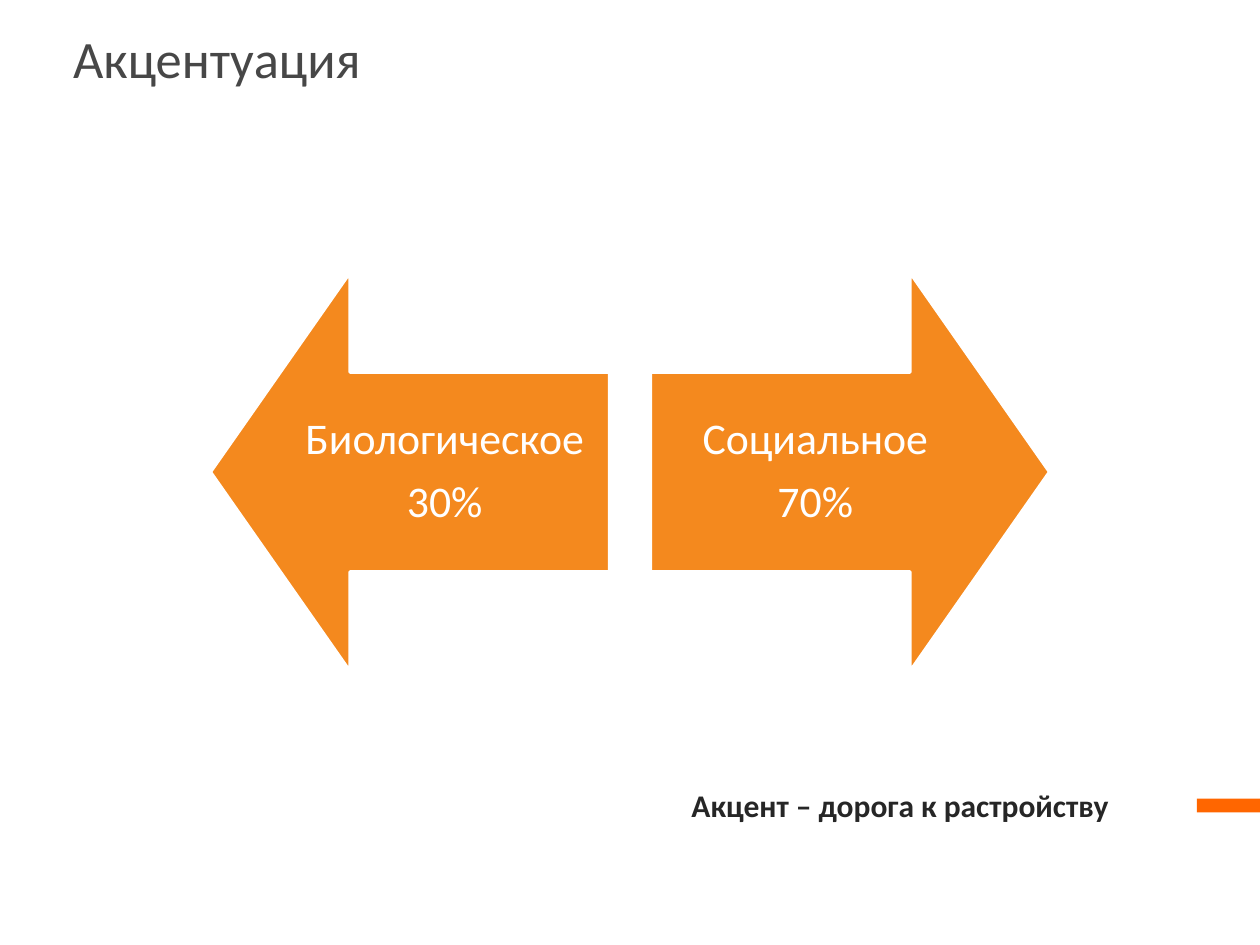
from pptx import Presentation
from pptx.dml.color import RGBColor
from pptx.enum.shapes import MSO_SHAPE
from pptx.enum.text import MSO_ANCHOR, PP_ALIGN
from pptx.util import Cm, Pt

RECT, UP_ARROW = MSO_SHAPE.RECTANGLE, MSO_SHAPE.UP_ARROW
MIDDLE = MSO_ANCHOR.MIDDLE
LEFT, CENTER = PP_ALIGN.LEFT, PP_ALIGN.CENTER
TITLE_ONLY = 5

FONT = "Calibri"
COLORS = {
    "title": "474747",
    "arrow": "F4891E",
    "white": "FFFFFF",
    "bar": "FF6600",
    "note": "262626",
}
SLIDE_W, SLIDE_H = 25.4, 19.05
ARROW_SIZE, ARROW_TOP, ARROW_GAP = 8.05, 5.49, 0.82
LABEL_W, LABEL_H = 6.65, 4.04


def rgb(name):
    return RGBColor.from_string(COLORS[name])


def write(tf, text, size, color, align=LEFT, bold=False):
    tf.text = text
    tf.word_wrap = True
    for p in tf.paragraphs:
        p.alignment = align
        for r in p.runs:
            r.font.name = FONT
            r.font.size = Pt(size)
            r.font.bold = bold
            r.font.color.rgb = rgb(color)


def add_title(s, text):
    sp = s.shapes.title
    sp.left, sp.top, sp.width, sp.height = Cm(1.22), Cm(0.2), Cm(23.34), Cm(1.9)
    write(sp.text_frame, text, 30, "title")
    sp.text_frame.vertical_anchor = MIDDLE


def add_filled(s, kind, left, top, width, height, color):
    sp = s.shapes.add_shape(kind, Cm(left), Cm(top), Cm(width), Cm(height))
    sp.shadow.inherit = False
    sp.fill.solid()
    sp.fill.fore_color.rgb = rgb(color)
    sp.line.fill.background()
    return sp


def add_text(s, left, top, width, height, *args, **kwargs):
    tf = s.shapes.add_textbox(Cm(left), Cm(top), Cm(width), Cm(height)).text_frame
    write(tf, *args, **kwargs)
    return tf


def add_arrow(s, left, rotation):
    sp = add_filled(s, UP_ARROW, left, ARROW_TOP, ARROW_SIZE, ARROW_SIZE, "arrow")
    sp.rotation = rotation
    sp.adjustments[0], sp.adjustments[1] = 0.5, 0.35
    sp.line.color.rgb = rgb("white")
    sp.line.width = Pt(2)


def add_arrow_label(s, left, text):
    top = ARROW_TOP + (ARROW_SIZE - LABEL_H) / 2
    tf = add_text(s, left, top, LABEL_W, LABEL_H, text, 25, "white", CENTER)
    tf.vertical_anchor = MIDDLE
    tf.margin_left = tf.margin_right = tf.margin_top = tf.margin_bottom = Cm(0.48)
    for p in tf.paragraphs:
        p.line_spacing = 0.9
        p.space_after = Pt(8.75)


def main():
    prs = Presentation()
    prs.slide_width, prs.slide_height = Cm(SLIDE_W), Cm(SLIDE_H)
    s = prs.slides.add_slide(prs.slide_layouts[TITLE_ONLY])
    add_title(s, "Акцентуация")

    inner_left = (SLIDE_W - ARROW_GAP) / 2
    inner_right = (SLIDE_W + ARROW_GAP) / 2
    add_arrow(s, inner_left - ARROW_SIZE, 270)
    add_arrow_label(s, inner_left - LABEL_W, "Биологическое\n30%")
    add_arrow(s, inner_right, 90)
    add_arrow_label(s, inner_right, "Социальное\n70%")

    add_filled(s, RECT, 24.13, 16.1, 1.27, 0.28, "bar")
    add_text(s, 13.69, 15.72, 9.3, 1.02, "Акцент – дорога к растройству",
             18, "note", bold=True)
    prs.save("out.pptx")


if __name__ == "__main__":
    main()
